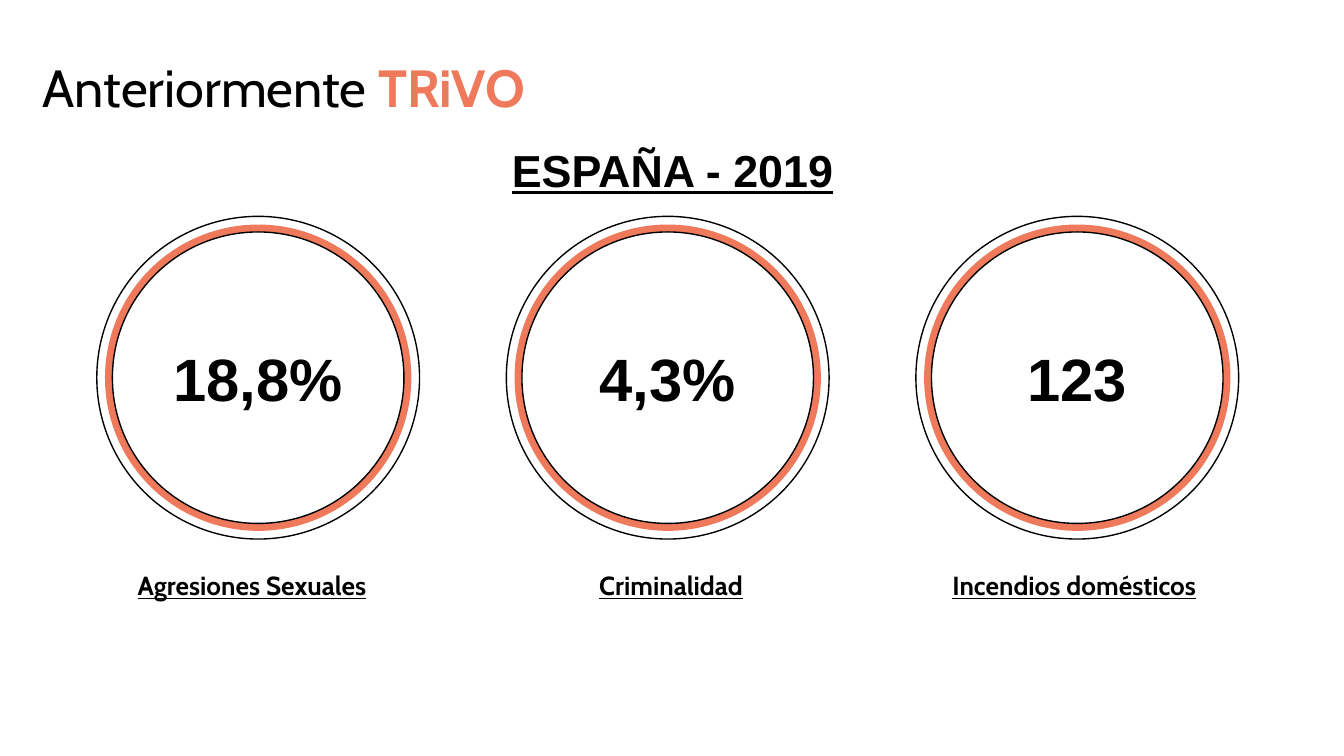
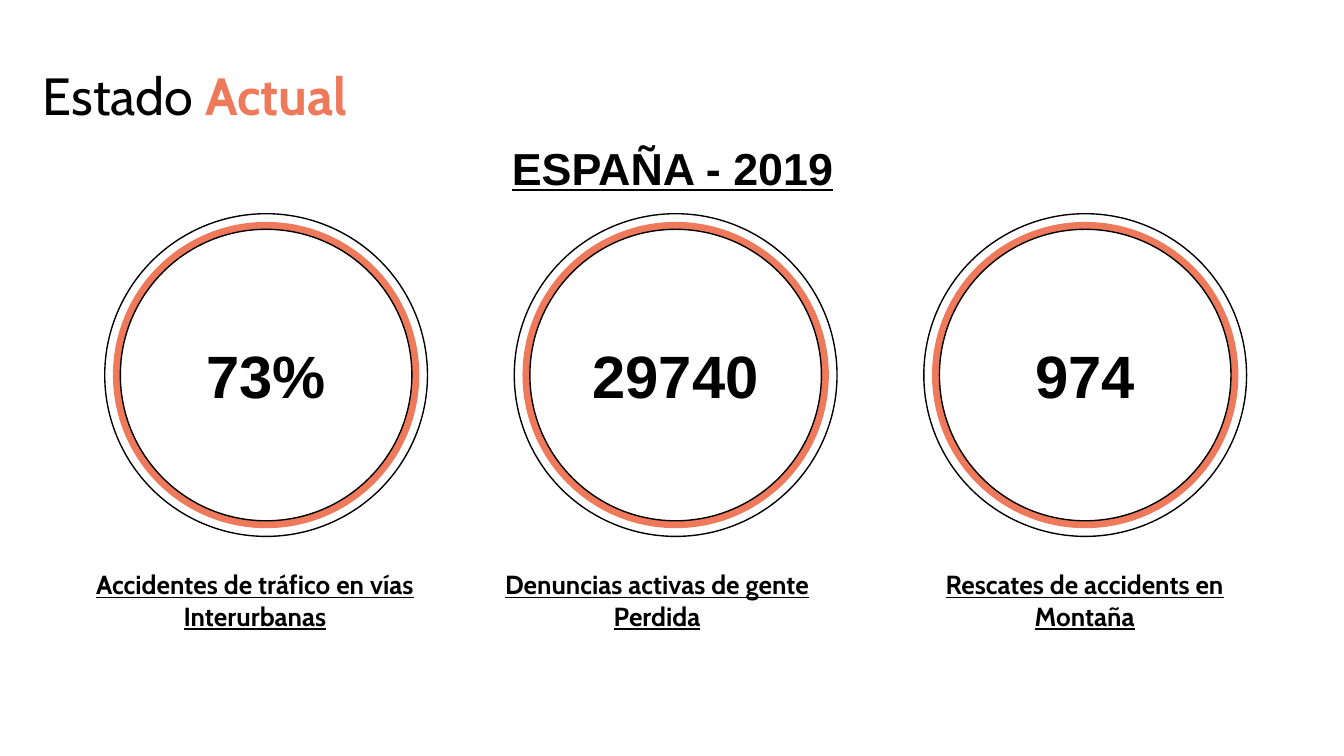
from dataclasses import dataclass

from pptx import Presentation
from pptx.dml.color import RGBColor
from pptx.enum.shapes import MSO_SHAPE
from pptx.enum.text import MSO_ANCHOR, PP_ALIGN
from pptx.util import Cm, Pt

BLACK = RGBColor(0x00, 0x00, 0x00)
WHITE = RGBColor(0xFF, 0xFF, 0xFF)
CORAL = RGBColor(0xEE, 0x79, 0x5B)
SANS, CABIN = "Arial", "Cabin"

# Lengths in centimetres
STEP = 7.74
OUTER, RING, DISC = 6.1, 5.79, 5.51
INSET = 0.25


@dataclass
class Stat:
    value: str
    label: str
    left: float
    width: float
    height: float = 0.89


@dataclass
class Page:
    lead: str
    accent: str
    title_top: float
    head_top: float
    first_x: float
    mid_y: float
    label_y: float
    stats: list[Stat]


PAGES = [
    Page("Anteriormente ", "TRiVO", 0.79, 2.64, 4.88, 7.14, 11.06, [
        Stat("18,8%", "Agresiones Sexuales", 2.11, 5.31),
        Stat("4,3%", "Criminalidad", 10.03, 5.31),
        Stat("123", "Incendios domésticos", 17.22, 6.17),
    ]),
    Page("Estado ", "Actual", 0.94, 2.59, 5.03, 7.09, 11.34, [
        Stat("73%", "Accidentes de tráfico en vías Interurbanas", 0.64, 8.36, 1.22),
        Stat("29740", "Denuncias activas de gente Perdida", 8.99, 6.86),
        Stat("974", "Rescates de accidents en Montaña", 16.79, 7.42),
    ]),
]


def style(run, size: float, face: str, color=BLACK, bold=True, under=False) -> None:
    font = run.font
    font.size, font.name, font.bold = Pt(size), face, bold
    font.color.rgb = color
    if under:
        font.underline = True


def frame(shape, anchor=MSO_ANCHOR.MIDDLE):
    text = shape.text_frame
    text.word_wrap = True
    text.vertical_anchor = anchor
    text.margin_left = text.margin_right = Cm(INSET)
    text.margin_top = text.margin_bottom = Cm(INSET)
    return text


def write(shape, words: str, size: float, face: str, under=False) -> None:
    text = frame(shape)
    text.text = words
    para = text.paragraphs[0]
    para.alignment = PP_ALIGN.CENTER
    style(para.runs[0], size, face, under=under)


def circle(slide, mid_x: float, mid_y: float, size: float, fill=None, line=None):
    shape = slide.shapes.add_shape(
        MSO_SHAPE.OVAL, Cm(mid_x - size / 2), Cm(mid_y - size / 2), Cm(size), Cm(size))
    shape.shadow.inherit = False
    if fill is None:
        shape.fill.background()
    else:
        shape.fill.solid()
        shape.fill.fore_color.rgb = fill
    if line is None:
        shape.line.fill.background()
    else:
        shape.line.color.rgb = line
        shape.line.width = Pt(0.75)
    return shape


def draw_title(slide, page: Page) -> None:
    box = slide.shapes.add_textbox(Cm(0.56), Cm(page.title_top), Cm(23.67), Cm(1.3))
    para = frame(box, MSO_ANCHOR.TOP).paragraphs[0]
    for words, color, bold in ((page.lead, BLACK, False), (page.accent, CORAL, True)):
        run = para.add_run()
        run.text = words
        style(run, 28, CABIN, color, bold)


def draw_head(slide, top: float) -> None:
    band = slide.shapes.add_shape(
        MSO_SHAPE.RECTANGLE, Cm(8.99), Cm(top), Cm(7.44), Cm(1.14))
    band.shadow.inherit = False
    band.fill.solid()
    band.fill.fore_color.rgb = WHITE
    band.line.color.rgb = WHITE
    band.line.width = Pt(2)
    write(band, "ESPAÑA - 2019", 24, SANS, under=True)


def draw_stat(slide, stat: Stat, mid_x: float, page: Page) -> None:
    # Coral ring, thin outline, white disc with the figure
    circle(slide, mid_x, page.mid_y, RING, fill=CORAL)
    circle(slide, mid_x, page.mid_y, OUTER, line=BLACK)
    disc = circle(slide, mid_x, page.mid_y, DISC, WHITE, BLACK)
    write(disc, stat.value, 32, SANS)
    # Label below
    box = slide.shapes.add_textbox(
        Cm(stat.left), Cm(page.label_y - stat.height / 2), Cm(stat.width), Cm(stat.height))
    write(box, stat.label, 14, CABIN, under=True)


def main() -> None:
    deck = Presentation()
    deck.slide_width, deck.slide_height = Cm(25.4), Cm(14.29)
    for page in PAGES:
        slide = deck.slides.add_slide(deck.slide_layouts[6])
        slide.background.fill.solid()
        slide.background.fill.fore_color.rgb = WHITE
        draw_title(slide, page)
        draw_head(slide, page.head_top)
        for i, stat in enumerate(page.stats):
            draw_stat(slide, stat, page.first_x + i * STEP, page)
    deck.save("out.pptx")


if __name__ == "__main__":
    main()
